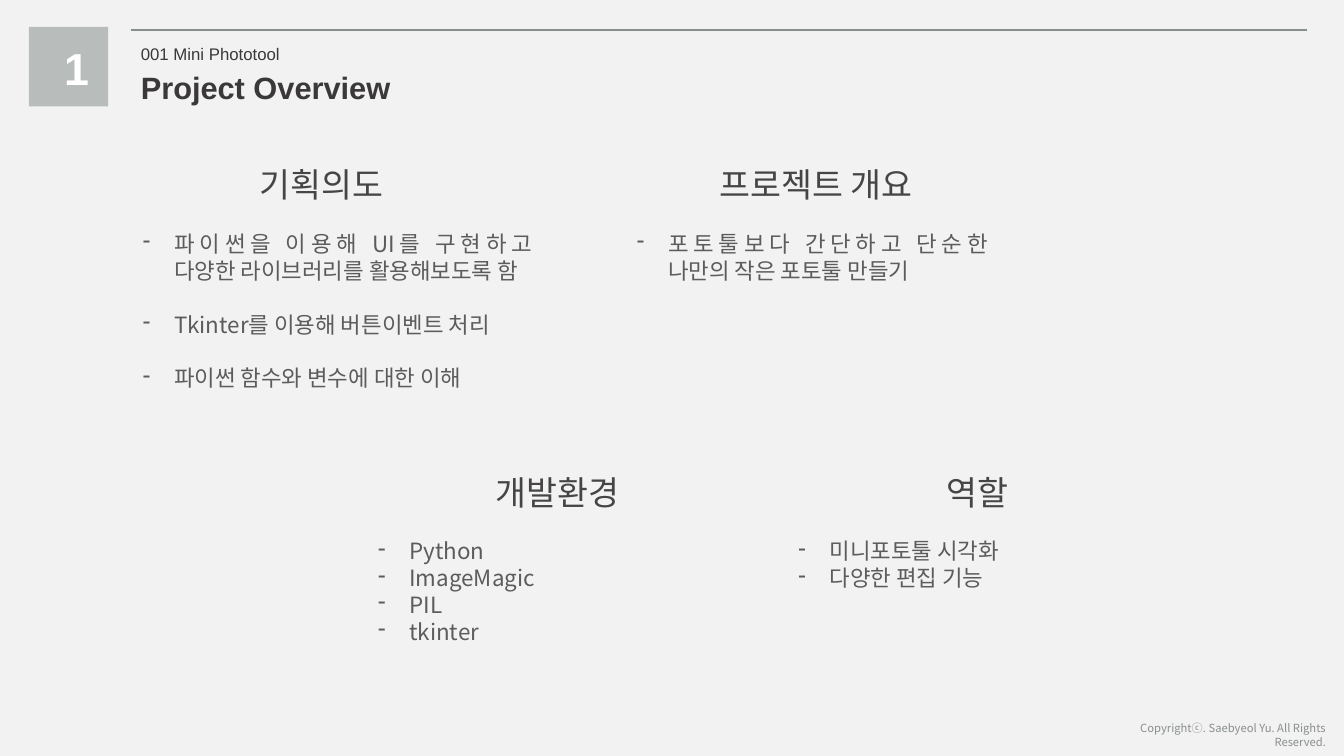
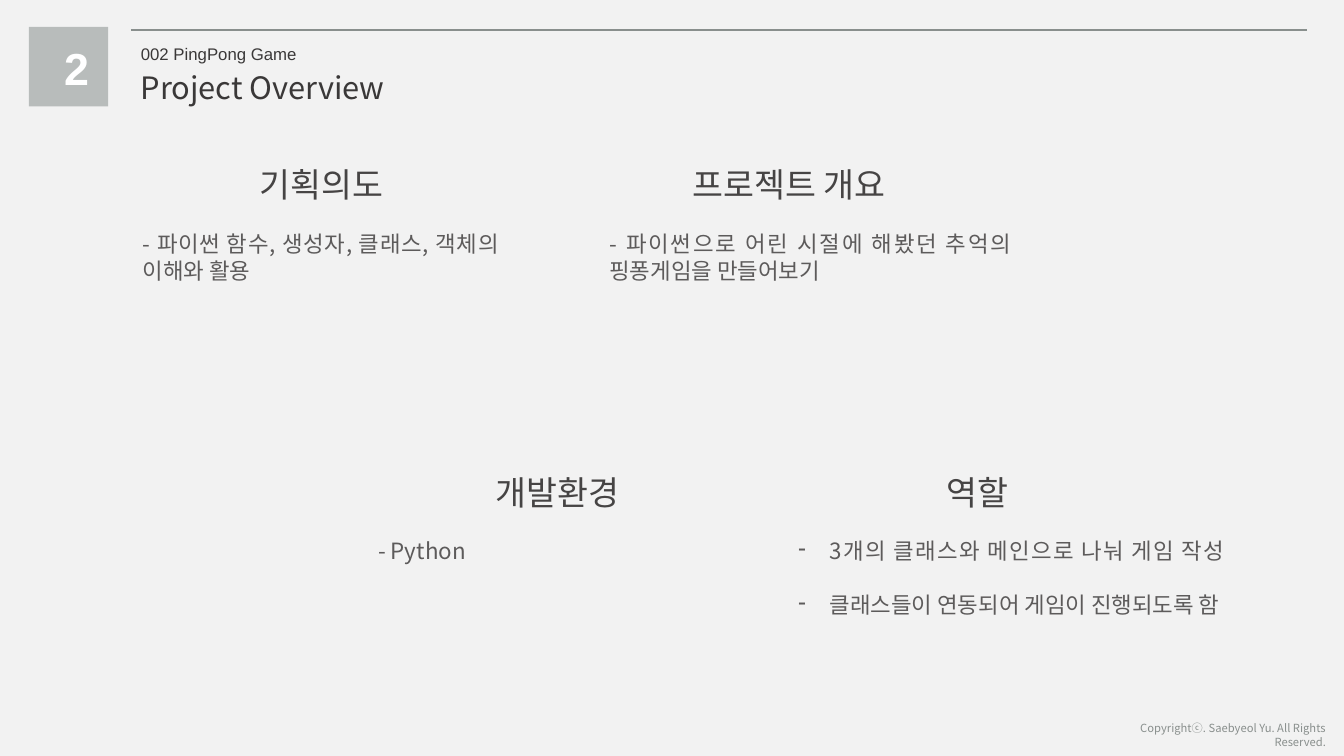
from lxml.etree import SubElement
from pptx import Presentation
from pptx.dml.color import RGBColor
from pptx.enum.shapes import MSO_CONNECTOR, MSO_SHAPE
from pptx.enum.text import PP_ALIGN
from pptx.oxml.ns import qn
from pptx.util import Cm, Pt

COLORS = {
    "background": "F2F2F2",
    "band": "B8BCBB",
    "rule": "898F8D",
    "title": "3A3838",
    "heading": "464444",
    "body": "5D5B5B",
    "white": "FFFFFF",
}
LATIN, KOREAN = "Arial", "Noto Sans CJK KR"
UPPER, LOWER = 4.01, 11.76  # tops of the two rows of sections
BODY_DROP = 1.66
HEADING_WIDTH = 5.9
BULLET_INDENT = 0.79


def rgb(name):
    return RGBColor.from_string(COLORS[name])


def add_bullet(p):
    pPr = p._p.get_or_add_pPr()
    pPr.set("marL", str(Cm(BULLET_INDENT)))
    pPr.set("indent", str(-Cm(BULLET_INDENT)))
    SubElement(pPr, qn("a:buChar")).set("char", "-")


def write(p, text, size, color, font=KOREAN, bold=False, align=PP_ALIGN.LEFT,
          bullet=False, before=0, tracking=0):
    """Fill a paragraph; a newline in the text becomes a line break."""
    if bullet:
        add_bullet(p)
    p.alignment = align
    if before:
        p.space_before = Pt(before)
    for i, part in enumerate(text.split("\n")):
        if i:
            p.add_line_break()
        r = p.add_run()
        r.text = part
        r.font.size, r.font.bold, r.font.name = Pt(size), bold, font
        r.font.color.rgb = rgb(color)
        rPr = r._r.get_or_add_rPr()
        SubElement(rPr, qn("a:ea")).set("typeface", font)
        if tracking:
            rPr.set("spc", str(round(tracking * 100)))


class Deck:
    """Holds the presentation, its style and the current slide."""

    def __init__(self):
        self.prs = Presentation()
        self.prs.slide_width, self.prs.slide_height = Cm(33.87), Cm(19.05)
        self.s = None

    def text(self, left, top, width, height, lines, gap=0, first_tracking=0, **style):
        sp = self.s.shapes.add_textbox(Cm(left), Cm(top), Cm(width), Cm(height))
        tf = sp.text_frame
        tf.word_wrap = True
        for i, line in enumerate(lines):
            p = tf.add_paragraph() if i else tf.paragraphs[0]
            write(p, line, before=gap if i else 0,
                  tracking=0 if i else first_tracking, **style)

    def rule(self):
        line = self.s.shapes.add_connector(
            MSO_CONNECTOR.STRAIGHT, Cm(3.3), Cm(0.76), Cm(32.94), Cm(0.76))
        line.line.color.rgb = rgb("rule")
        line.line.width = Pt(1.5)
        SubElement(line._element.spPr, qn("a:effectLst"))

    def number_band(self, number):
        sp = self.s.shapes.add_shape(
            MSO_SHAPE.RECTANGLE, Cm(0.73), Cm(0.68), Cm(2), Cm(2))
        sp.shadow.inherit = False
        sp.fill.solid()
        sp.fill.fore_color.rgb = rgb("band")
        sp.line.fill.background()
        self.text(1.37, 0.89, 1.37, 1.63, [number], size=32, color="white",
                  font=LATIN, bold=True)

    def slide(self, number, project, **title_style):
        """Start a slide with its band, rule, titles and footer."""
        self.s = self.prs.slides.add_slide(self.prs.slide_layouts[6])
        fill = self.s.background.fill
        fill.solid()
        fill.fore_color.rgb = rgb("background")
        self.rule()
        self.number_band(number)
        self.text(3.3, 0.97, 12, 0.76, [project], size=12, color="title", font=LATIN)
        self.text(3.3, 1.61, 12, 1.19, ["Project Overview"], size=22,
                  color="title", **title_style)
        self.text(27.45, 18.06, 6.22, 0.61,
                  ["Copyrightⓒ. Saebyeol Yu. All Rights Reserved."],
                  size=8, color="rule", align=PP_ALIGN.RIGHT)

    def section(self, heading, center, top, left, width, lines, bullet=True, **spacing):
        self.text(center - HEADING_WIDTH / 2, top, HEADING_WIDTH, 1.27, [heading],
                  size=24, color="heading", align=PP_ALIGN.CENTER)
        self.text(left, top + BODY_DROP, width, 1.63, lines, size=16,
                  color="body", align=PP_ALIGN.JUSTIFY, bullet=bullet, **spacing)


def main():
    deck = Deck()

    deck.slide("1", "001 Mini Phototool", font=LATIN, bold=True)
    deck.section("기획의도", 8.1, UPPER, 3.35, 10.44, [
        "파이썬을 이용해 UI를 구현하고\n다양한 라이브러리를 활용해보도록 함",
        "Tkinter를 이용해 버튼이벤트 처리",
        "파이썬 함수와 변수에 대한 이해"], gap=19.3)
    deck.section("프로젝트 개요", 20.56, UPPER, 15.8, 9.47,
                 ["포토툴보다 간단하고 단순한\n나만의 작은 포토툴 만들기"])
    deck.section("개발환경", 14.05, LOWER, 9.28, 9.47,
                 ["Python", "ImageMagic", "PIL", "tkinter"])
    deck.section("역할", 24.64, LOWER, 19.87, 9.47,
                 ["미니포토툴 시각화", "다양한 편집 기능"])

    deck.slide("2", "002 PingPong Game")
    deck.section("기획의도", 8.1, UPPER, 3.35, 9.47,
                 ["- 파이썬 함수, 생성자, 클래스, 객체의 이해와 활용"], bullet=False)
    deck.section("프로젝트 개요", 19.88, UPPER, 15.11, 10.64,
                 ["- 파이썬으로 어린 시절에 해봤던 추억의 핑퐁게임을 만들어보기"],
                 bullet=False)
    deck.section("개발환경", 14.05, LOWER, 9.28, 9.47, ["- Python"], bullet=False)
    deck.section("역할", 24.64, LOWER, 19.87, 11.48, [
        "3개의 클래스와 메인으로 나눠 게임 작성",
        "클래스들이 연동되어 게임이 진행되도록 함"], gap=19.3, first_tracking=1)

    deck.prs.save("out.pptx")


if __name__ == "__main__":
    main()
